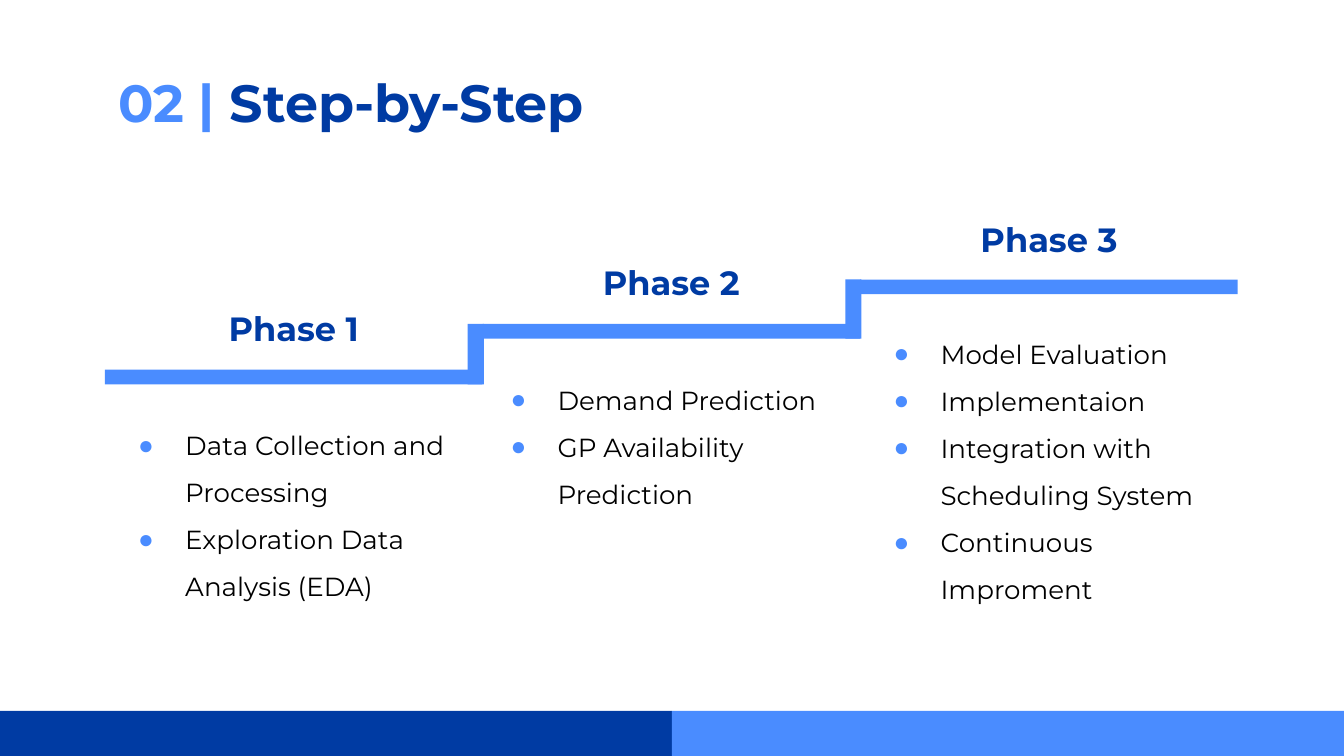
from lxml.etree import SubElement
from pptx import Presentation
from pptx.dml.color import RGBColor
from pptx.enum.shapes import MSO_SHAPE as Shape
from pptx.enum.text import MSO_ANCHOR as Anchor, MSO_AUTO_SIZE as AutoSize, PP_ALIGN as Align
from pptx.oxml.ns import qn
from pptx.util import Inches, Pt

# Content, with the tops of each step's parts and the list's left and height
FONT, BULLET_FONT = "Montserrat", "Arial"
COLORS = {"light": "4A8CFF", "dark": "003BA3", "text": "000000"}
TITLE = [("02 | ", "light"), ("Step-by-Step", "dark")]
PHASES = [
    {"name": "Phase 1", "top": 2.75, "heading_top": 2.19, "list": (0.78, 2.98, 1.57),
     "items": ["Data Collection and Processing", "Exploration Data Analysis (EDA)"]},
    {"name": "Phase 2", "top": 2.41, "heading_top": 1.85, "list": (3.55, 2.64, 1.22),
     "items": ["Demand Prediction", "GP Availability Prediction"]},
    {"name": "Phase 3", "top": 2.08, "heading_top": 1.53, "list": (6.4, 2.3, 2.03),
     "items": ["Model Evaluation", "Implementaion", "Integration with Scheduling System",
               "Continuous Improment"]},
]

# Layout, in inches
SLIDE_WIDTH = 10
SLIDE_HEIGHT = SLIDE_WIDTH * 9 / 16
LEFT, STEP_WIDTH, THICKNESS, OVERLAP = 0.78, 2.81, 0.11, 0.01
HEADING_WIDTH, HEADING_HEIGHT = 1.69, 0.45
FOOTER_TOP, FOOTER_WIDTH = 5.29, SLIDE_WIDTH / 2


def color(name):
    return RGBColor.from_string(COLORS[name])


def add_bar(left, top, width, height, fill):
    bar = slide.shapes.add_shape(Shape.RECTANGLE, Inches(left), Inches(top),
                                 Inches(width), Inches(height))
    bar.shadow.inherit = False
    bar.fill.solid()
    bar.fill.fore_color.rgb = color(fill)
    bar.line.fill.background()


def set_frame(frame):
    frame.word_wrap = True
    frame.auto_size = AutoSize.NONE
    frame.vertical_anchor = Anchor.TOP
    frame.margin_left = frame.margin_right = Inches(0.1)
    frame.margin_top = frame.margin_bottom = Inches(0.1)


def add_frame(left, top, width, height):
    box = slide.shapes.add_textbox(Inches(left), Inches(top), Inches(width), Inches(height))
    set_frame(box.text_frame)
    return box.text_frame


def add_span(para, text, size, fill, bold=False):
    span = para.add_run()
    span.text = text
    span.font.name = FONT
    span.font.size = Pt(size)
    span.font.bold = bold
    span.font.color.rgb = color(fill)


def add_bullet(para):
    para.line_spacing = 1.5
    props = para._p.get_or_add_pPr()
    props.set("marL", str(Inches(0.5)))
    props.set("indent", str(Inches(-0.35)))
    bullet_color = SubElement(props, qn("a:buClr"))
    SubElement(bullet_color, qn("a:srgbClr"), val=COLORS["light"])
    SubElement(props, qn("a:buFont"), typeface=BULLET_FONT)
    SubElement(props, qn("a:buChar"), char="●")


deck = Presentation()
deck.slide_width, deck.slide_height = Inches(SLIDE_WIDTH), Inches(SLIDE_HEIGHT)
slide = deck.slides.add_slide(deck.slide_layouts[5])

# Title
title = slide.shapes.title
title.left, title.top = Inches(LEFT), Inches(0.42)
title.width, title.height = Inches(8.43), Inches(1.02)
set_frame(title.text_frame)
title_para = title.text_frame.paragraphs[0]
title_para.alignment = Align.LEFT
for text, fill in TITLE:
    add_span(title_para, text, 28, fill, bold=True)

# Staircase with a heading above and a list below each step
for index, phase in enumerate(PHASES):
    left, top = LEFT + index * STEP_WIDTH, phase["top"]
    add_bar(left, top, STEP_WIDTH, THICKNESS, "light")
    if index:
        riser_height = PHASES[index - 1]["top"] + THICKNESS - top
        add_bar(left - THICKNESS, top, THICKNESS + OVERLAP, riser_height, "light")

    heading = add_frame(left + (STEP_WIDTH - HEADING_WIDTH) / 2, phase["heading_top"],
                        HEADING_WIDTH, HEADING_HEIGHT).paragraphs[0]
    heading.alignment = Align.CENTER
    heading.space_after = Pt(16)
    add_span(heading, phase["name"], 18, "dark", bold=True)

    list_left, list_top, list_height = phase["list"]
    body = add_frame(list_left, list_top, STEP_WIDTH, list_height)
    for number, item in enumerate(phase["items"]):
        para = body.add_paragraph() if number else body.paragraphs[0]
        add_bullet(para)
        add_span(para, item, 14, "text")

# Footer band
for index, fill in enumerate(["dark", "light"]):
    add_bar(index * FOOTER_WIDTH, FOOTER_TOP, FOOTER_WIDTH, SLIDE_HEIGHT - FOOTER_TOP, fill)

deck.save("out.pptx")
